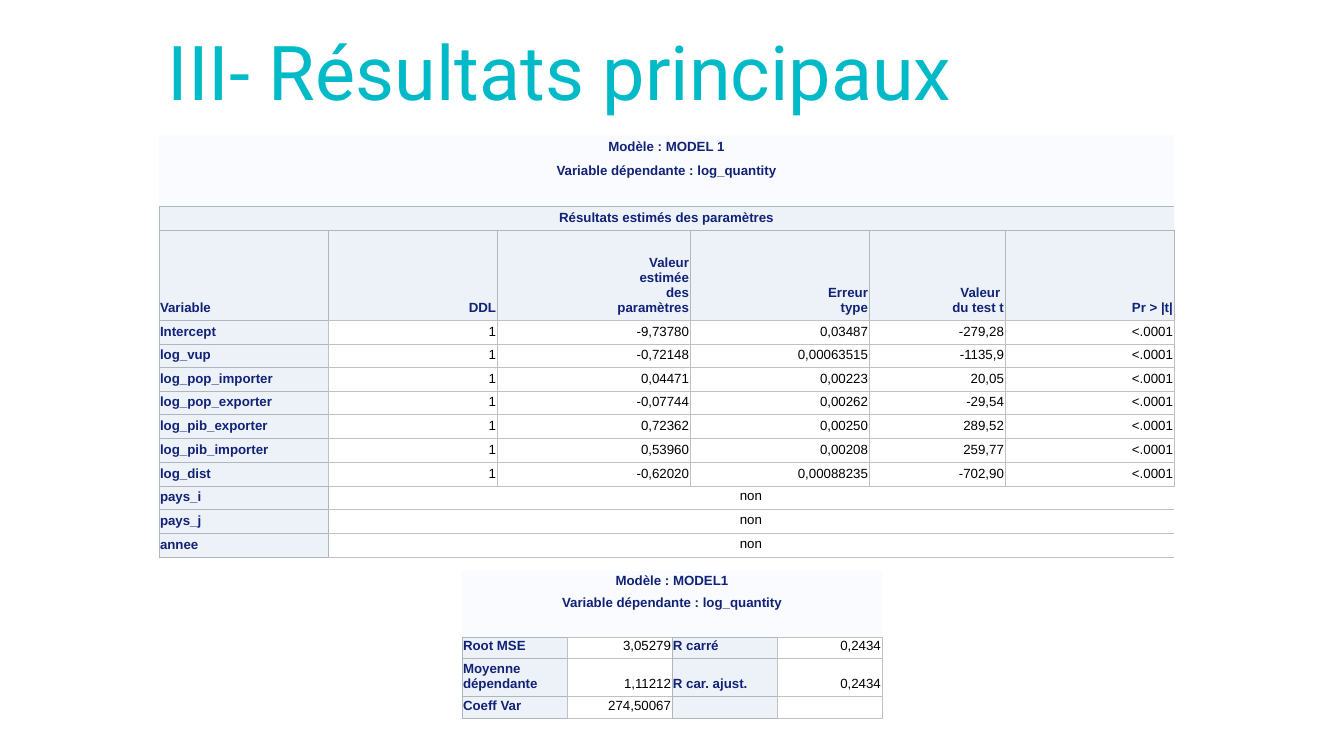
from dataclasses import dataclass

from lxml.etree import SubElement
from pptx import Presentation
from pptx.dml.color import RGBColor
from pptx.enum.text import MSO_ANCHOR, PP_ALIGN
from pptx.oxml.ns import qn
from pptx.slide import Slide
from pptx.table import _Cell
from pptx.util import Pt

EMU_PER_PX = 12192000 / 1344
NO_STYLE = "{2D5ABB26-0587-4C30-8999-92F81FD0307C}"
NAVY, BLACK, WHITE, MIST, PALE = "112277", "000000", "FFFFFF", "FAFBFE", "EDF2F9"
BORDERS = {"b": "B0B7BB", "c": "C1C1C1"}
SIDES = ("lnL", "lnR", "lnT", "lnB")


@dataclass(frozen=True)
class Kind:
    """Look of a cell; borders names the left, right, top and bottom lines."""
    fill: str
    borders: str
    align: PP_ALIGN = PP_ALIGN.LEFT
    color: str = NAVY
    bold: bool = True
    anchor: MSO_ANCHOR = MSO_ANCHOR.BOTTOM


@dataclass(frozen=True)
class Item:
    """A cell's text, its look and the columns it spans."""
    kind: Kind
    text: str = ""
    span: int = 1


@dataclass(frozen=True)
class Grid:
    """A table: place, column widths and row heights in px, and its rows."""
    left: int
    top: int
    cols: list[int]
    heights: list[int]
    rows: list[list[Item]]


CAPTION = Kind(MIST, "----", PP_ALIGN.CENTER)
GAP = Kind(MIST, "---b")
BANNER = Kind(PALE, "bbbb", PP_ALIGN.CENTER)
HEAD = Kind(PALE, "bbbc", PP_ALIGN.RIGHT)
STUB = Kind(PALE, "bcbb")
VALUE = Kind(WHITE, "cccc", PP_ALIGN.RIGHT, BLACK, False)
ABSENT = Kind(WHITE, "b-cc", PP_ALIGN.CENTER, BLACK, False, MSO_ANCHOR.MIDDLE)

HEADINGS = ["DDL", "Valeur\nestimée\ndes\nparamètres", "Erreur\ntype",
            "Valeur \ndu test t", "Pr > |t|"]
ESTIMATES = [
    ("Intercept", "-9,73780", "0,03487", "-279,28"),
    ("log_vup", "-0,72148", "0,00063515", "-1135,9"),
    ("log_pop_importer", "0,04471", "0,00223", "20,05"),
    ("log_pop_exporter", "-0,07744", "0,00262", "-29,54"),
    ("log_pib_exporter", "0,72362", "0,00250", "289,52"),
    ("log_pib_importer", "0,53960", "0,00208", "259,77"),
    ("log_dist", "-0,62020", "0,00088235", "-702,90"),
]
FIT = [
    ("Root MSE", "3,05279", "R carré", "0,2434"),
    ("Moyenne dépendante", "1,11212", "R car. ajust.", "0,2434"),
    ("Coeff Var", "274,50067", "", ""),
]


def px(n: int) -> int:
    """Turn px into EMU."""
    return round(n * EMU_PER_PX)


def rgb(color: str) -> RGBColor:
    """Turn a hex string into a colour."""
    return RGBColor.from_string(color)


def apply(target: object, **values: object) -> None:
    """Set each given attribute on the target."""
    for name, value in values.items():
        setattr(target, name, value)


def captions(model: str, n: int) -> list[list[Item]]:
    """Return the two caption rows and the gap below them."""
    return [[Item(CAPTION, f"Modèle : {model}", n)],
            [Item(CAPTION, "Variable dépendante : log_quantity", n)],
            [Item(GAP)] * n]


def draw_frame(cell: _Cell, kind: Kind, first: bool, last: bool) -> None:
    """Draw the borders and fill of a cell, leaving out edges inside a span."""
    tc_pr = cell._tc.get_or_add_tcPr()
    for side, key in zip(SIDES, kind.borders):
        ln = SubElement(tc_pr, qn(f"a:{side}"), w=str(Pt(0.5)))
        inner = (side == "lnL" and not first) or (side == "lnR" and not last)
        if key == "-" or inner:
            SubElement(ln, qn("a:noFill"))
        else:
            fill = SubElement(ln, qn("a:solidFill"))
            SubElement(fill, qn("a:srgbClr"), val=BORDERS[key])
    cell.fill.solid()
    cell.fill.fore_color.rgb = rgb(kind.fill)
    apply(cell, margin_left=px(1), margin_right=px(1), margin_top=px(1),
          margin_bottom=px(5), vertical_anchor=kind.anchor)


def write_cell(cell: _Cell, item: Item) -> None:
    """Write the item's text, one line break per newline."""
    p = cell.text_frame.paragraphs[0]
    p.alignment = item.kind.align
    if not item.text:
        SubElement(p._p, qn("a:endParaRPr"), sz="950")
        return
    for i, line in enumerate(item.text.split("\n")):
        if i:
            p.add_line_break()
        r = p.add_run()
        r.text = line
        apply(r.font, name="Arial", size=Pt(9.5), bold=item.kind.bold)
        r.font.color.rgb = rgb(item.kind.color)


def draw_grid(s: Slide, grid: Grid) -> None:
    """Add a table and fill its cells."""
    frame = s.shapes.add_table(len(grid.heights), len(grid.cols), px(grid.left), px(grid.top),
                               px(sum(grid.cols)), px(sum(grid.heights)))
    tbl = frame.table
    apply(tbl, first_row=False, horz_banding=False)
    tbl._tbl.tblPr.find(qn("a:tableStyleId")).text = NO_STYLE
    for col, width in zip(tbl.columns, grid.cols):
        col.width = px(width)
    for y, (height, items) in enumerate(zip(grid.heights, grid.rows)):
        tbl.rows[y].height = px(height)
        x = 0
        for item in items:
            end = x + item.span - 1
            for i in range(x, end + 1):
                draw_frame(tbl.cell(y, i), item.kind, i == x, i == end)
                write_cell(tbl.cell(y, i), item if i == x else Item(item.kind))
            if item.span > 1:
                tbl.cell(y, x).merge(tbl.cell(y, end))
            x = end + 1


def draw_title(s: Slide, text: str) -> None:
    """Add the slide title."""
    tf = s.shapes.add_textbox(px(158), px(-28), px(1159), px(146)).text_frame
    apply(tf, word_wrap=True, vertical_anchor=MSO_ANCHOR.BOTTOM, margin_bottom=px(2))
    r = tf.paragraphs[0].add_run()
    r.text = text
    apply(r.font, name="Roboto", size=Pt(54))
    r.font.color.rgb = rgb("00BAC8")


def main() -> None:
    """Build the slide and save it."""
    prs = Presentation()
    apply(prs, slide_width=px(1344), slide_height=px(756))
    s = prs.slides.add_slide(prs.slide_layouts[6])
    draw_title(s, "III- Résultats principaux")

    estimates = captions("MODEL 1", 6)
    estimates.append([Item(BANNER, "Résultats estimés des paramètres", 6)])
    estimates.append([Item(STUB, "Variable")] + [Item(HEAD, h) for h in HEADINGS])
    for name, *values in ESTIMATES:
        estimates.append([Item(STUB, name)] + [Item(VALUE, v) for v in ("1", *values, "<.0001")])
    for name in ("pays_i", "pays_j", "annee"):
        estimates.append([Item(STUB, name), Item(ABSENT, "non", 5)])
    draw_grid(s, Grid(159, 135, [169, 169, 193, 179, 136, 169],
                      [24, 24, 23, 24, 90, 24, 24, 24, 23, 24, 24, 24, 23, 24, 24], estimates))

    fit = captions("MODEL1", 4)
    for row in FIT:
        fit.append([Item(kind, text) for kind, text in zip((STUB, VALUE) * 2, row)])
    draw_grid(s, Grid(462, 571, [105] * 4, [21, 21, 22, 21, 36, 21], fit))
    prs.save("out.pptx")


if __name__ == "__main__":
    main()
